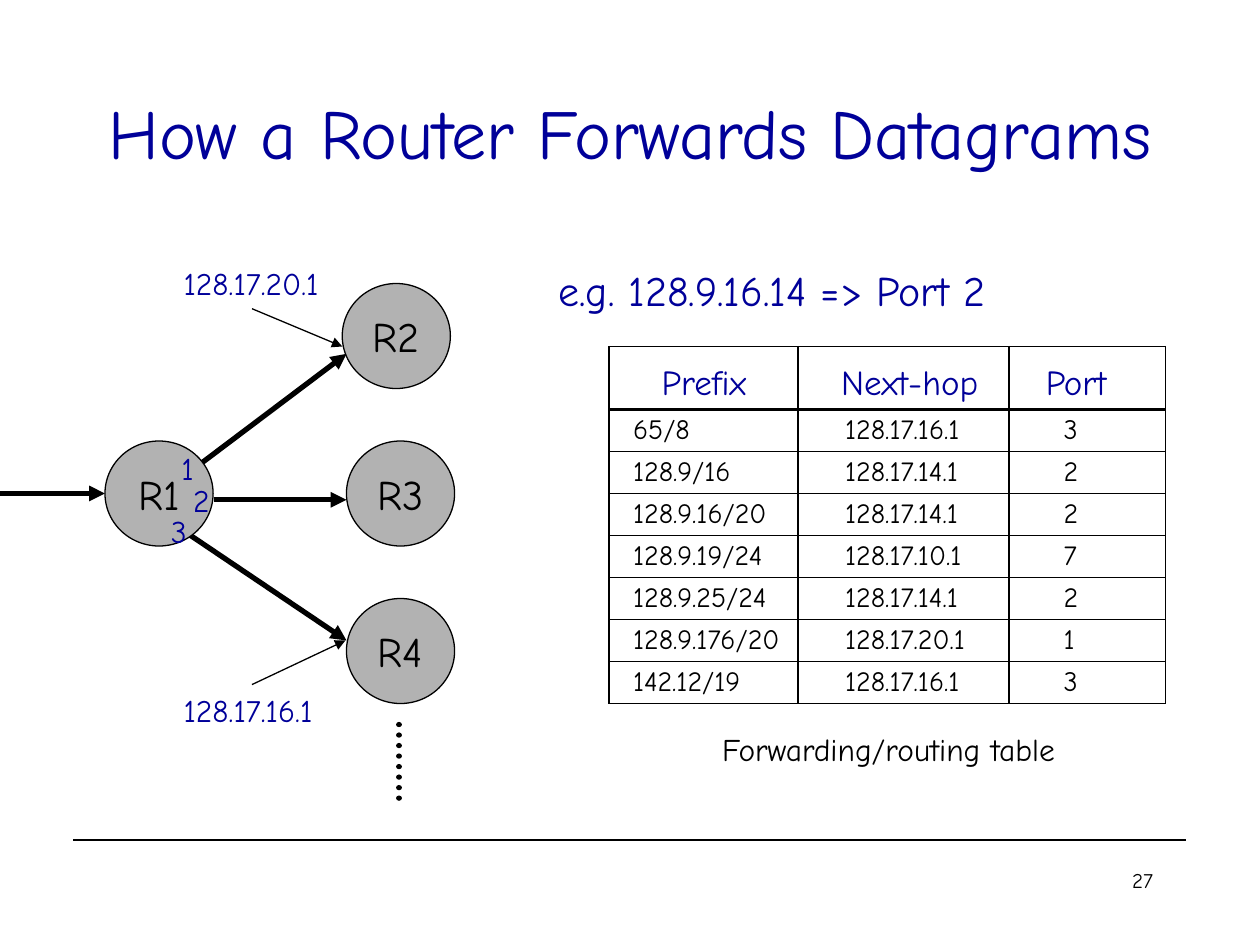
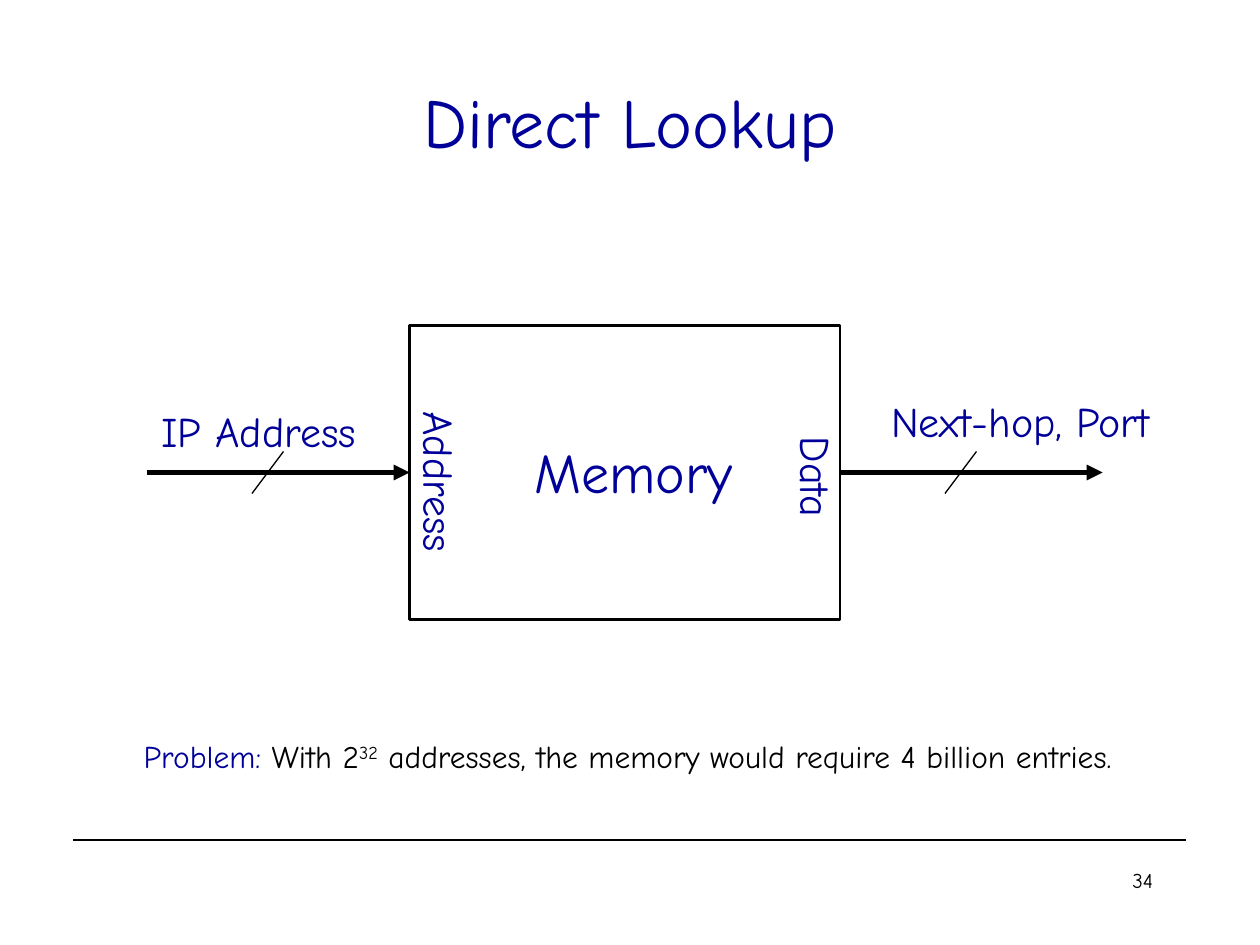
import lxml.etree
import pptx
import pptx.dml.color
import pptx.enum.dml
import pptx.enum.shapes
import pptx.enum.text
import pptx.oxml.ns
import pptx.util

BLACK = pptx.dml.color.RGBColor(0x00, 0x00, 0x00)
NAVY = pptx.dml.color.RGBColor(0x00, 0x00, 0x99)
GRAY = pptx.dml.color.RGBColor(0xB2, 0xB2, 0xB2)
FONT = "Comic Neue"
COLUMNS, ROWS = 120, 90
TITLE_ONLY = 5

ALIGN = pptx.enum.text.PP_ALIGN
ANCHOR = pptx.enum.text.MSO_ANCHOR
AUTO_SIZE = pptx.enum.text.MSO_AUTO_SIZE
SHAPE = pptx.enum.shapes.MSO_SHAPE
qn = pptx.oxml.ns.qn

ROUTES = [
    ("65/8", "128.17.16.1", "3"),
    ("128.9/16", "128.17.14.1", "2"),
    ("128.9.16/20", "128.17.14.1", "2"),
    ("128.9.19/24", "128.17.10.1", "7"),
    ("128.9.25/24", "128.17.14.1", "2"),
    ("128.9.176/20", "128.17.20.1", "1"),
    ("142.12/19", "128.17.16.1", "3"),
]


class Lecture:
    def __init__(self):
        self.deck = pptx.Presentation()
        self.deck.slide_width = pptx.util.Inches(10)
        self.deck.slide_height = pptx.util.Inches(7.5)
        self.page = None

    def across(self, columns):
        return pptx.util.Emu(round(self.deck.slide_width * columns / COLUMNS))

    def down(self, rows):
        return pptx.util.Emu(round(self.deck.slide_height * rows / ROWS))

    def area(self, left, top, width, height):
        return self.across(left), self.down(top), self.across(width), self.down(height)

    def style(self, paragraph, size, color, align=ALIGN.LEFT):
        paragraph.alignment = align
        for span in paragraph.runs:
            span.font.name = FONT
            span.font.size = pptx.util.Pt(size)
            span.font.color.rgb = color

    def new_page(self, title, number, title_area, anchor=ANCHOR.MIDDLE):
        self.page = self.deck.slides.add_slide(self.deck.slide_layouts[TITLE_ONLY])
        box = self.page.shapes.title
        box.left, box.top, box.width, box.height = self.area(*title_area)
        frame = box.text_frame
        frame.text = title
        frame.auto_size = AUTO_SIZE.NONE
        frame.vertical_anchor = anchor
        frame.margin_top = frame.margin_bottom = 0
        self.style(frame.paragraphs[0], 40, NAVY, ALIGN.CENTER)
        self.line((7, 80), (113, 80))
        self.label(number, 86, 82, 25, 12, BLACK, ALIGN.RIGHT, wrap=True)

    def label(self, text, left, top, width, size, color=NAVY, align=ALIGN.LEFT,
              wrap=False, rotation=0):
        height = 0.2 * size + 1.2
        box = self.page.shapes.add_textbox(*self.area(left, top, width, height))
        box.rotation = rotation
        frame = box.text_frame
        frame.text = text
        frame.word_wrap = wrap
        frame.auto_size = AUTO_SIZE.NONE if wrap else AUTO_SIZE.SHAPE_TO_FIT_TEXT
        self.style(frame.paragraphs[0], size, color, align)
        return box

    def line(self, start, end, weight=0.75, arrow=False, dotted=False):
        connector = self.page.shapes.add_connector(
            pptx.enum.shapes.MSO_CONNECTOR.STRAIGHT,
            self.across(start[0]), self.down(start[1]),
            self.across(end[0]), self.down(end[1]))
        connector.line.color.rgb = BLACK
        connector.line.width = pptx.util.Pt(weight)
        properties = connector.element.spPr
        outline = properties.find(qn("a:ln"))
        if dotted:
            connector.line.dash_style = pptx.enum.dml.MSO_LINE.ROUND_DOT
            outline.set("cap", "rnd")
        if arrow:
            lxml.etree.SubElement(outline, qn("a:tailEnd"), type="triangle")
        lxml.etree.SubElement(properties, qn("a:effectLst"))
        return connector

    def shape(self, kind, left, top, width, height, weight=0.75):
        shape = self.page.shapes.add_shape(kind, *self.area(left, top, width, height))
        shape.shadow.inherit = False
        shape.fill.background()
        shape.line.color.rgb = BLACK
        shape.line.width = pptx.util.Pt(weight)
        return shape

    def router(self, name, left, top):
        circle = self.shape(SHAPE.OVAL, left, top, 10.3, 10)
        circle.fill.solid()
        circle.fill.fore_color.rgb = GRAY
        frame = circle.text_frame
        frame.text = name
        frame.word_wrap = False
        frame.vertical_anchor = ANCHOR.MIDDLE
        self.style(frame.paragraphs[0], 24, BLACK, ALIGN.CENTER)

    def borders(self, cell, weights):
        properties = cell._tc.get_or_add_tcPr()
        for position, (side, weight) in enumerate(zip("LRTB", weights)):
            border = lxml.etree.Element(qn(f"a:ln{side}"), w=str(pptx.util.Pt(weight)))
            fill = lxml.etree.SubElement(border, qn("a:solidFill"))
            lxml.etree.SubElement(fill, qn("a:srgbClr"), val=str(BLACK))
            properties.insert(position, border)

    def table(self, left, top, header, rows, widths, heights, indents, rules, header_rule):
        records = [header, *rows]
        frame = self.page.shapes.add_table(
            len(records), len(header), *self.area(left, top, sum(widths), sum(heights)))
        table = frame.table
        table.first_row = table.horz_banding = False
        for column, width in zip(table.columns, widths):
            column.width = self.across(width)
        for row, height in zip(table.rows, heights):
            row.height = self.down(height)
        for r, record in enumerate(records):
            heading = r == 0
            above = header_rule if r == 1 else 0.75
            below = header_rule if heading else 0.75
            for c, text in enumerate(record):
                cell = table.cell(r, c)
                cell.text = text
                cell.fill.background()
                cell.margin_left = self.across(indents[heading][c])
                cell.margin_right = cell.margin_top = 0
                cell.margin_bottom = self.down(0.5) if heading else 0
                cell.vertical_anchor = ANCHOR.BOTTOM if heading else ANCHOR.MIDDLE
                self.style(cell.text_frame.paragraphs[0], 20 if heading else 16,
                           NAVY if heading else BLACK)
                self.borders(cell, (rules[c], rules[c + 1], above, below))


def draw_forwarding(lecture):
    lecture.new_page("How a Router Forwards Datagrams", "27", (0, 5, 120, 15))
    lecture.table(
        58, 33, ("Prefix", "Next-hop", "Port"), ROUTES,
        widths=(18, 20.1, 14.9), heights=[6] + [4] * len(ROUTES),
        indents=((2.3, 4.5, 5.2), (5, 4.1, 3.5)),
        rules=(0.75, 1.5, 0.75, 0.75), header_rule=2.25)
    lecture.line((38, 69), (38, 77), 3, dotted=True)
    for start, end in [((0, 47), (10, 47)), ((18, 45), (33, 33.7)),
                       ((20.4, 47.6), (33, 47.6)), ((18, 50.9), (33, 61))]:
        lecture.line(start, end, 3, arrow=True)
    for name, left, top in [("R1", 10, 42), ("R2", 32.6, 27),
                            ("R3", 33, 42), ("R4", 33, 57)]:
        lecture.router(name, left, top)
    for port, left in enumerate((16.1, 17.2, 15.1)):
        lecture.label(str(port + 1), left, 42.2 + 3 * port, 4, 18)
    lecture.label("128.17.20.1", 16.3, 24.6, 16, 18)
    lecture.line((24, 29.4), (32.6, 33), arrow=True)
    lecture.label("128.17.16.1", 16.3, 65.2, 16, 18)
    lecture.line((24, 65.2), (32.9, 61), arrow=True)
    lecture.label("e.g. 128.9.16.14 => Port 2", 52, 24.6, 44, 24)
    lecture.label("Forwarding/routing table", 67.6, 68.9, 35.5, 18, BLACK)


def draw_lookup(lecture):
    lecture.new_page("Direct Lookup", "34", (9, 7.5, 102, 15), ANCHOR.TOP)
    memory = lecture.shape(SHAPE.RECTANGLE, 39, 31, 41, 28, 1.5)
    lecture.line((14, 45), (39, 45), 3, arrow=True).end_connect(memory, 1)
    lecture.line((80, 45), (105, 45), 3, arrow=True).begin_connect(memory, 3)
    for left in (24, 90):
        lecture.line((left, 47), (left + 3, 43))
    lecture.label("IP Address", 14.2, 38, 22, 24)
    lecture.label("Address", 33.9, 43, 16, 24, rotation=89.8)
    lecture.label("Memory", 49.7, 41.1, 22.5, 32)
    lecture.label("Data", 72.6, 42.6, 10.4, 24, rotation=89.8)
    lecture.label("Next-hop, Port", 83.7, 37.1, 28, 24)
    problem = lecture.label("Problem:", 12.5, 69.6, 96, 18)
    para = problem.text_frame.paragraphs[0]
    for text in (" With 2", "32", " addresses, the memory would require 4 billion entries."):
        para.add_run().text = text
    lecture.style(para, 18, BLACK)
    para.runs[0].font.color.rgb = NAVY
    para.runs[2].font._element.set("baseline", "30000")


def main():
    lecture = Lecture()
    draw_forwarding(lecture)
    draw_lookup(lecture)
    lecture.deck.save("out.pptx")


if __name__ == "__main__":
    main()
